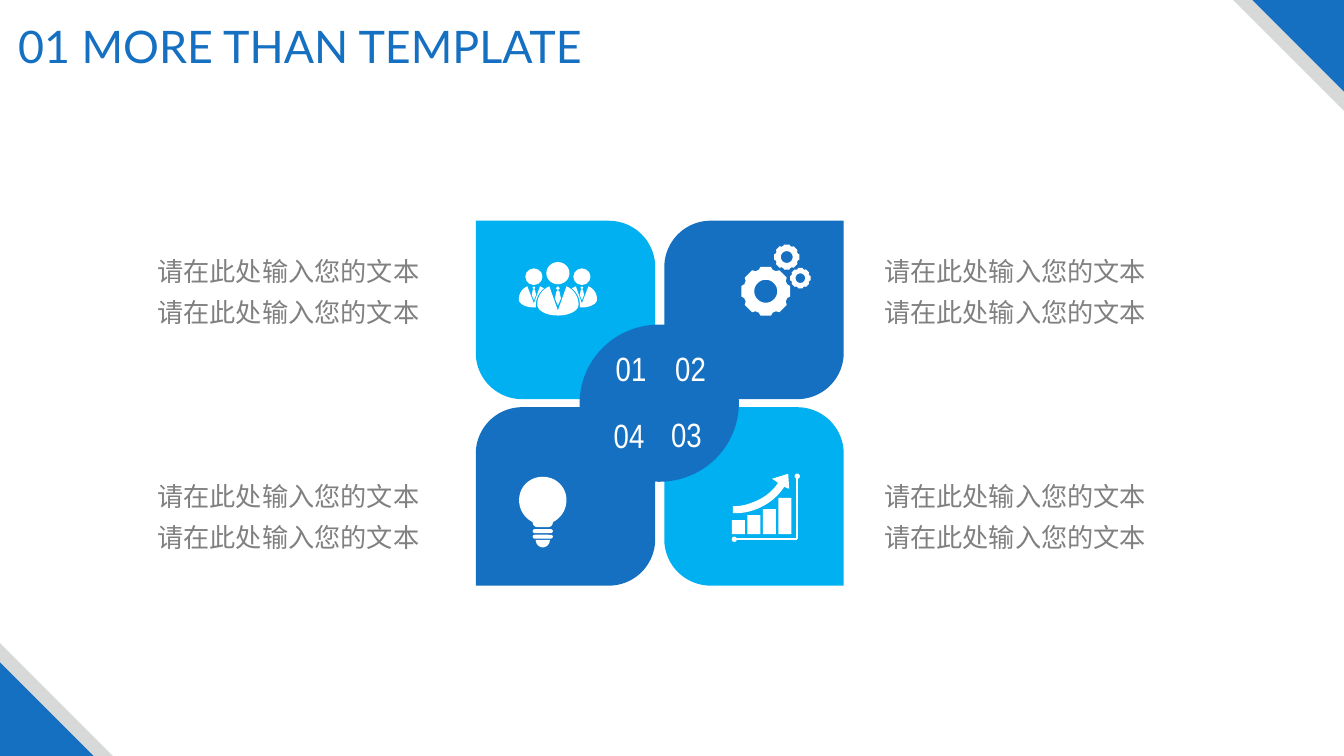
from math import cos, pi, sin

from lxml.etree import SubElement
from pptx import Presentation
from pptx.dml.color import RGBColor
from pptx.enum.shapes import MSO_CONNECTOR, MSO_SHAPE
from pptx.enum.text import MSO_ANCHOR, MSO_AUTO_SIZE, PP_ALIGN
from pptx.oxml.ns import qn
from pptx.util import Inches, Pt

COLORS = {
    "blue": "1570C1",
    "sky": "00B0F0",
    "silver": "D7D8D8",
    "gray": "808080",
    "white": "FFFFFF",
}
COLUMNS, ROWS = 133.33, 75  # square cells, a tenth of an inch each


def grid(cells):
    return Inches(cells / 10)


def flatten(outline, steps=10):
    """Turn points and cubic curves (six numbers) into a list of points."""
    points = []
    for step in outline:
        if len(step) == 2:
            points.append(step)
            continue
        knots = [points[-1], step[:2], step[2:4], step[4:]]
        for index in range(1, steps + 1):
            t = index / steps
            weights = ((1 - t) ** 3, 3 * t * (1 - t) ** 2, 3 * t * t * (1 - t), t ** 3)
            points.append(tuple(sum(w * knot[axis] for w, knot in zip(weights, knots))
                                for axis in (0, 1)))
    return points


def polar(radius, degrees):
    angle = degrees * pi / 180
    return radius * cos(angle), radius * sin(angle)


class Page:
    def __init__(self, deck):
        self.slide = deck.slides.add_slide(deck.slide_layouts[5])
        self.shapes = self.slide.shapes

    def paint(self, shape, color):
        shape.shadow.inherit = False
        shape.fill.solid()
        shape.fill.fore_color.rgb = RGBColor.from_string(COLORS[color])
        shape.line.fill.background()
        return shape

    def preset(self, kind, left, top, width, height, color="white"):
        shape = self.shapes.add_shape(kind, *map(grid, (left, top, width, height)))
        return self.paint(shape, color)

    def disc(self, x, y, width, height, color="white"):
        self.preset(MSO_SHAPE.OVAL, x - width / 2, y - height / 2, width, height, color)

    def freeform(self, x, y, *outlines, scale=(1, 1), color="white"):
        """Draw closed outlines given as offsets from the point x, y."""
        builder = None
        for outline in outlines:
            points = [(grid(x + scale[0] * dx), grid(y + scale[1] * dy))
                      for dx, dy in flatten(outline)]
            if builder is None:
                builder = self.shapes.build_freeform(*points[0], scale=1.0)
            else:
                builder.move_to(*points[0])
            builder.add_line_segments(points[1:], close=True)
        self.paint(builder.convert_to_shape(), color)

    def line(self, x1, y1, x2, y2, color="white"):
        line = self.shapes.add_connector(MSO_CONNECTOR.STRAIGHT, *map(grid, (x1, y1, x2, y2)))
        line.line.color.rgb = RGBColor.from_string(COLORS[color])
        line.line.width = Pt(1.25)
        SubElement(line._element.spPr, qn("a:effectLst"))

    def set_text(self, box, text, size, font, color, align, spacing=1.0):
        frame = box.text_frame
        frame.text = text
        for para in frame.paragraphs:
            para.alignment = align
            para.line_spacing = spacing
            for span in para.runs:
                span.font.size = Pt(size)
                span.font.name = font
                span.font.color.rgb = RGBColor.from_string(COLORS[color])
                SubElement(span.font._element, qn("a:ea"), typeface=font)

    def title(self, text, left, top, width, height):
        box = self.shapes.title
        box.left, box.top, box.width, box.height = map(grid, (left, top, width, height))
        box.text_frame.vertical_anchor = MSO_ANCHOR.MIDDLE
        self.set_text(box, text, 32, "Lato", "blue", PP_ALIGN.CENTER)

    def textbox(self, left, top, width, height, wrap):
        box = self.shapes.add_textbox(*map(grid, (left, top, width, height)))
        box.text_frame.word_wrap = wrap
        box.text_frame.auto_size = MSO_AUTO_SIZE.SHAPE_TO_FIT_TEXT
        return box

    def number(self, text, left, top):
        box = self.textbox(left, top, 5.5, 5.1, False)
        self.set_text(box, text, 24, "Arial Narrow", "white", PP_ALIGN.LEFT)

    def caption(self, text, left, top):
        box = self.textbox(left, top, 29.2, 9.2, True)
        self.set_text(box, text, 18.7, "Noto Sans CJK SC", "gray", PP_ALIGN.CENTER, 1.3)

    def corners(self):
        for color, upper, lower in (("silver", 11, 11.2), ("blue", 9.1, 9.3)):
            triangle = self.preset(MSO_SHAPE.RIGHT_TRIANGLE, COLUMNS - upper, 0,
                                   upper, upper, color)
            triangle.rotation = 180
            self.preset(MSO_SHAPE.RIGHT_TRIANGLE, 0, ROWS - lower, lower, lower, color)

    def petals(self):
        for row in (0, 1):
            for column in (0, 1):
                diagonal = row != column
                petal = self.preset(MSO_SHAPE.ROUND_2_DIAG_RECTANGLE,
                                    47.2 + 18.7 * column, 21.9 + 18.5 * row, 17.8, 17.7,
                                    "blue" if diagonal else "sky")
                petal.adjustments[0] = 0.26 if diagonal else 0
                petal.adjustments[1] = 0 if diagonal else 0.26
        self.disc(65.4, 40, 15.8, 15.6, "blue")

    def gear(self, x, y, radius):
        teeth = [polar(radius * reach, 45 * tooth + turn) for tooth in range(8)
                 for reach, turn in ((0.9, -18), (1, -12), (1, 12), (0.9, 18))]
        hole = [polar(radius * 0.46, 10 * turn) for turn in range(36)]
        self.freeform(x, y, teeth, hole)

    def tie(self, x, y, size):
        knot = [(0, 0), (0.2, 0.2), (0, 0.4), (-0.2, 0.2)]
        blade = [(0.15, 0.5), (0, 0.4), (-0.15, 0.5), (-0.3, 1.2), (0, 1.9), (0.3, 1.2)]
        self.freeform(x, y, knot, blade, scale=(size, size))

    def team(self, x, shoulder):
        leader = [(2.05, 1.8), (2.05, 1, 1.55, 0.3, 0.85, 0), (0, 2.4), (-0.85, 0),
                  (-1.55, 0.3, -2.05, 1, -2.05, 1.8), (-2.05, 2.4, -1.2, 2.9, 0, 2.9),
                  (1.2, 2.9, 2.05, 2.4, 2.05, 1.8)]
        member = [(1.5, 1.3), (1.5, 0.7, 1.15, 0.2, 0.65, 0), (0, 1.7), (-0.6, 0),
                  (-1, 0.2), (-0.5, 0.6, -0.2, 1.2, -0.2, 1.8), (-0.2, 2.1), (0, 2.1),
                  (0.9, 2.1, 1.5, 1.7, 1.5, 1.3)]
        self.disc(x, shoulder - 1.3, 2.3, 2.2)
        self.freeform(x, shoulder, leader)
        self.tie(x, shoulder, 1)
        for side in (-1, 1):
            center = x + 2.38 * side
            self.disc(center, shoulder - 0.95, 1.7, 1.65)
            self.freeform(center, shoulder, member, scale=(side, 1))
            self.tie(center, shoulder, 0.72)

    def bulb(self, x, top):
        glass = [(2.35, 2.3), (2.35, 1, 1.3, 0, 0, 0), (-1.3, 0, -2.35, 1, -2.35, 2.3),
                 (-2.35, 3.3, -1.8, 4.1, -1, 4.5), (-1, 4.8, -0.8, 5, -0.5, 5), (0.5, 5),
                 (0.8, 5, 1, 4.8, 1, 4.5), (1.8, 4.1, 2.35, 3.3, 2.35, 2.3)]
        base = [(-0.7, 0), (-0.7, 0.45, -0.35, 0.75, 0, 0.75), (0.35, 0.75, 0.7, 0.45, 0.7, 0)]
        self.freeform(x, top, glass)
        for thread in (5.2, 5.75):
            ring = self.preset(MSO_SHAPE.ROUNDED_RECTANGLE, x - 1, top + thread, 2, 0.38)
            ring.adjustments[0] = 0.5
        self.freeform(x, top + 6.25, base)

    def growth(self, left, top):
        arrow = [(5.7, 1.5), (5.6, 0), (4, 0.5), (4.6, 0.9), (4, 1.8, 3.1, 2.5, 1.9, 2.9),
                 (0.9, 3.3, 0.1, 3.2, 0.1, 3.2), (0.1, 3.9), (0.2, 3.9, 1.1, 4, 2.2, 3.6),
                 (3.4, 3.2, 4.5, 2.4, 5.2, 1.3)]
        self.freeform(left, top, arrow)
        for index, height in enumerate((1.4, 1.9, 2.5, 3.6)):
            self.preset(MSO_SHAPE.RECTANGLE, left + 1.54 * index, top + 6 - height, 1.3, height)
        start, right, bottom = left + 0.25, left + 6.5, top + 6.5
        self.line(right, top + 0.25, right, bottom)
        self.line(start, bottom, right, bottom)
        for x, y in ((right, top + 0.25), (start, bottom)):
            self.disc(x, y, 0.52, 0.52)


def main():
    deck = Presentation()
    deck.slide_width, deck.slide_height = grid(COLUMNS), grid(ROWS)
    page = Page(deck)
    page.corners()
    page.title("01 MORE THAN TEMPLATE", 0.2, 1.3, 59.2, 6.4)
    page.petals()
    for text, left, top in (("01", 60.1, 34), ("02", 66, 34),
                            ("04", 59.9, 40.7), ("03", 65.6, 40.6)):
        page.number(text, left, top)
    page.team(55.35, 28.4)
    for x, y, radius in ((75.97, 28.9, 2.48), (78.05, 25.5, 1.27), (79.4, 27.6, 1.03)):
        page.gear(x, y, radius)
    page.bulb(53.85, 47.3)
    page.growth(72.6, 47)
    for top in (23.9, 46.2):
        for left in (14, 86.1):
            page.caption("\n".join(["请在此处输入您的文本"] * 2), left, top)
    deck.save("out.pptx")


if __name__ == "__main__":
    main()
